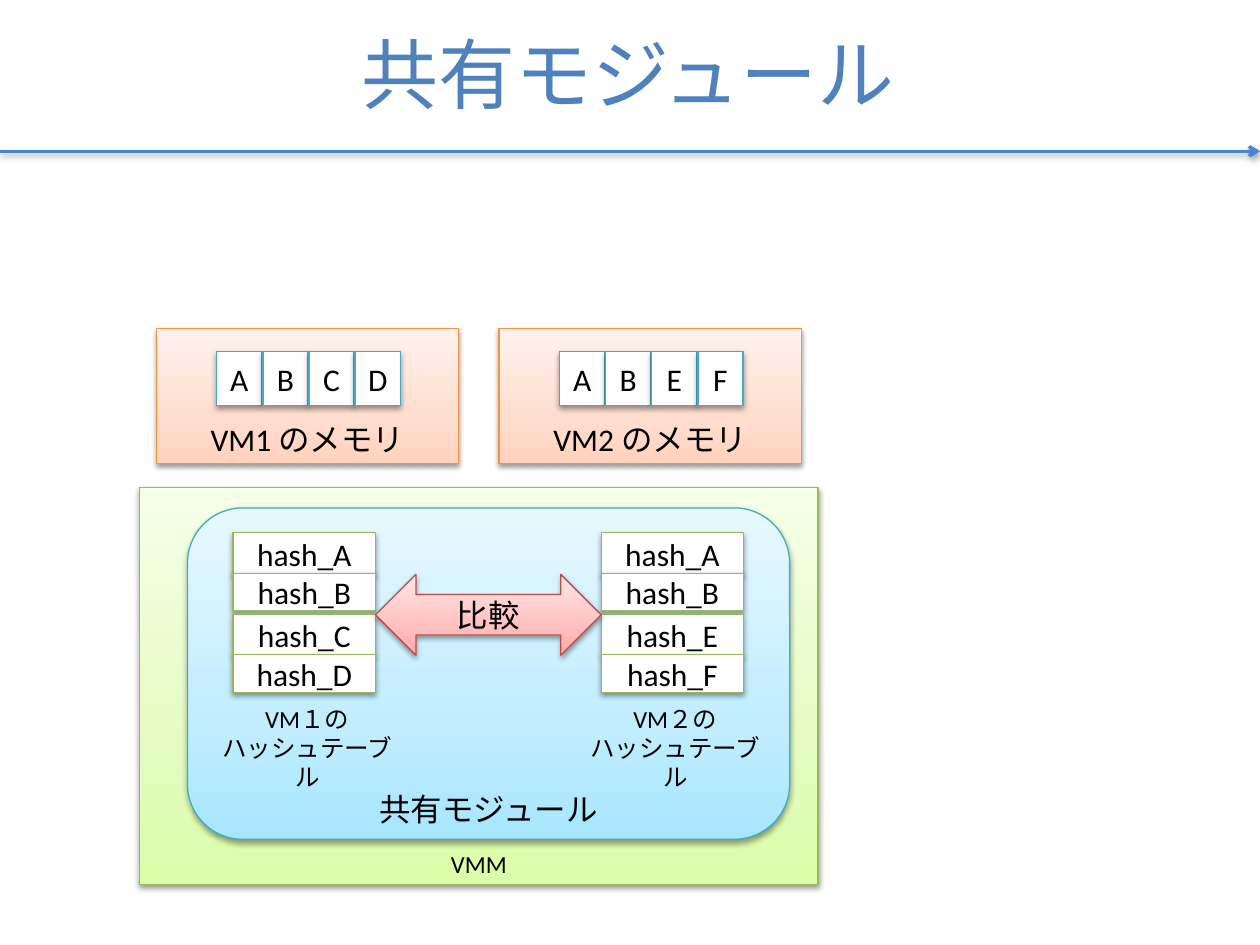
"""Build the slide on the shared module that compares the hash tables of two VMs."""
from lxml import etree
from pptx import Presentation
from pptx.dml.color import RGBColor
from pptx.enum.shapes import MSO_CONNECTOR, MSO_SHAPE as Kind
from pptx.enum.text import MSO_ANCHOR as Anchor, PP_ALIGN as Align
from pptx.oxml import parse_xml
from pptx.oxml.ns import nsdecls, qn
from pptx.util import Cm, Pt

tone = RGBColor.from_string
NS = nsdecls("a")
SHADOW = (
    f'<a:effectLst {NS}><a:outerShdw blurRad="40000" dist="20000" dir="5400000" rotWithShape="0">'
    '<a:srgbClr val="000000"><a:alpha val="38000"/></a:srgbClr></a:outerShdw></a:effectLst>'
)


def write(frame, text, size, color="000000"):
    """Put centred text in a frame."""
    frame.word_wrap = True
    frame.text = text
    for para in frame.paragraphs:
        para.alignment = Align.CENTER
        para.font.size = Pt(size)
        para.font.name = "Calibri"
        para.font.color.rgb = tone(color)


def block(kind, box, fills, edge, text, size=18, anchor=Anchor.MIDDLE):
    """Draw a shadowed shape with a plain or three-stop fill."""
    shape = slide.shapes.add_shape(kind, *map(Cm, box))
    if len(fills) == 1:
        shape.fill.solid()
        shape.fill.fore_color.rgb = tone(fills[0])
    else:
        shape.fill.gradient()
        shape.fill.gradient_angle = 90
        stops = shape.element.spPr.find(".//" + qn("a:gsLst"))
        stops.clear()
        for pos, color in zip((0, 35, 100), fills):
            stop = etree.SubElement(stops, qn("a:gs"), pos=str(pos * 1000))
            etree.SubElement(stop, qn("a:srgbClr"), val=color)
    shape.line.color.rgb = tone(edge)
    shape.line.width = Pt(0.75)
    shape.element.spPr.append(parse_xml(SHADOW))
    frame = shape.text_frame
    write(frame, text, size)
    frame.vertical_anchor = anchor
    return frame


prs = Presentation()
prs.slide_width, prs.slide_height = Cm(25.4), Cm(19.05)
slide = prs.slides.add_slide(prs.slide_layouts[5])

rule = slide.shapes.add_connector(MSO_CONNECTOR.STRAIGHT, 0, Cm(3.05), Cm(25.4), Cm(3.05))
rule.line.color.rgb = tone("4A86CF")
rule.line.width = Pt(2)
etree.SubElement(rule.line._get_or_add_ln(), qn("a:tailEnd"), type="arrow")
rule.element.spPr.append(parse_xml(SHADOW))

title = slide.shapes.title
title.left, title.top, title.width, title.height = map(Cm, (0.46, 0, 24.41, 2.92))
write(title.text_frame, "共有モジュール", 44, "4F81BD")
title.text_frame.vertical_anchor = Anchor.MIDDLE

block(Kind.RECTANGLE, (2.82, 9.83, 13.67, 8), ("DAFDA7", "E4FCC2", "F5FFE7"),
      "98B955", "VMM", 14, Anchor.BOTTOM)
module = block(Kind.ROUNDED_RECTANGLE, (3.78, 10.24, 12.14, 6.68),
               ("A7E6FF", "C1EDFF", "E7F8FF"), "46AAC5", "共有モジュール", 18, Anchor.BOTTOM)
module.margin_bottom = Cm(-0.1)

for vm, (pages, digit) in enumerate((("ABCD", "１"), ("ABEF", "２"))):
    left = 3.15 + 6.91 * vm
    block(Kind.RECTANGLE, (left, 6.63, 6.1, 2.72), ("FFD2BD", "FFDED0", "FFF2ED"),
          "F69240", f"VM{vm + 1} のメモリ", 18, Anchor.BOTTOM)
    side = 4.7 + 7.42 * vm
    for i, page in enumerate(pages):
        cell = block(Kind.RECTANGLE, (left + 1.22 + 0.93 * i, 7.09, 0.91, 1.09),
                     ("FFFFFF",), "46AAC5", page)
        cell.margin_left = cell.margin_right = 0
        block(Kind.RECTANGLE, (side, 10.74 + 0.82 * i, 2.87, (0.84, 0.76)[i % 2]),
              ("FFFFFF",), "98B955", f"hash_{page}")
    label = slide.shapes.add_textbox(*map(Cm, (side - 0.55, 14.06, 4.09, 1.44)))
    write(label.text_frame, f"VM{digit}の\nハッシュテーブル", 14)

block(Kind.LEFT_RIGHT_ARROW, (7.57, 11.58, 4.55, 1.63),
      ("FFA6A5", "FFC0BF", "FFE7E7"), "BF4C48", "比較")

prs.save("out.pptx")
